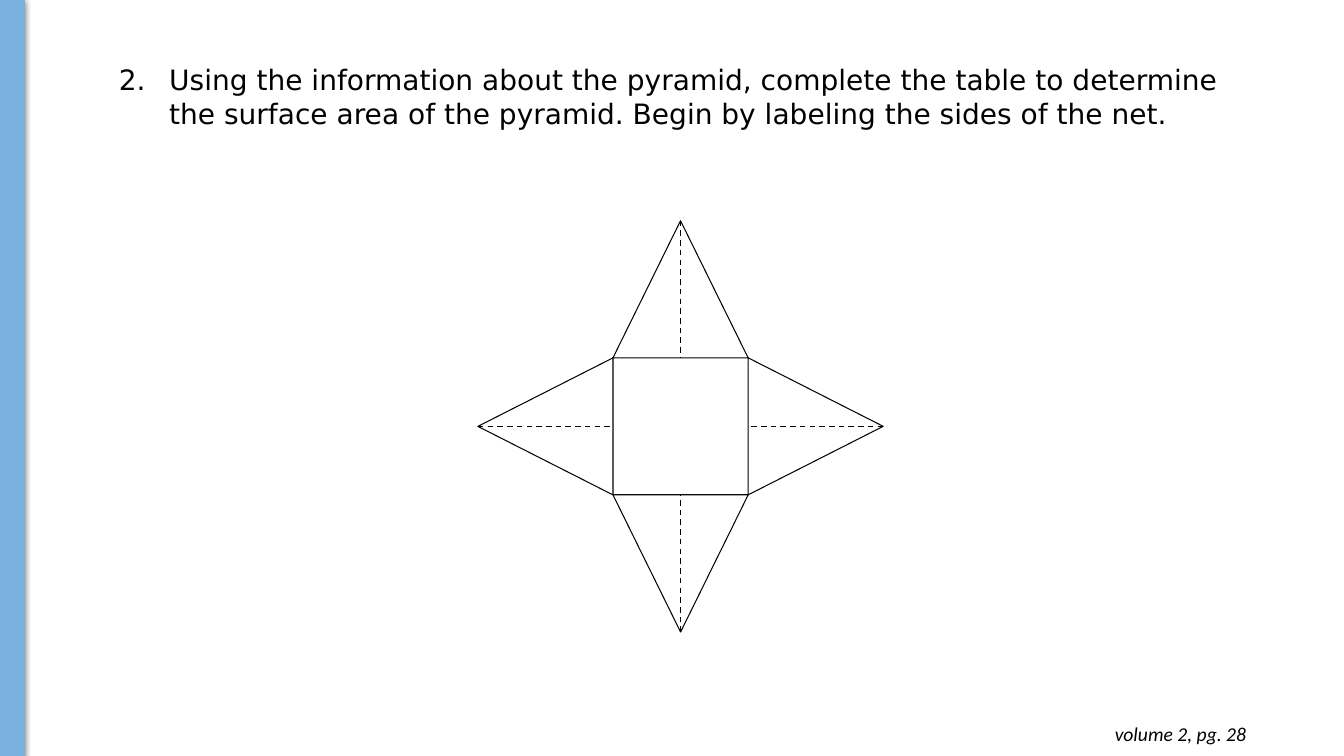
from lxml.etree import SubElement
from pptx import Presentation
from pptx.dml.color import RGBColor
from pptx.enum.dml import MSO_LINE
from pptx.enum.shapes import MSO_CONNECTOR, MSO_SHAPE
from pptx.enum.text import PP_ALIGN
from pptx.oxml.ns import qn
from pptx.util import Inches, Pt

COLORS = {"ink": "000000", "paper": "FFFFFF", "bar": "79B0DD"}


def color(name):
    """Return the named palette colour."""
    return RGBColor.from_string(COLORS[name])


def write(frame, text, font="Calibri", size=14, italic=False, align=PP_ALIGN.LEFT, number=None):
    """Write one formatted paragraph, numbered if a number is given."""
    paragraph = frame.paragraphs[0]
    paragraph.alignment = align
    if number:
        properties = paragraph._p.get_or_add_pPr()
        properties.set("marL", str(Inches(0.5)))
        properties.set("indent", str(Inches(-0.5)))
        bullet_color = SubElement(properties, qn("a:buClr"))
        SubElement(bullet_color, qn("a:srgbClr"), val=COLORS["ink"])
        SubElement(properties, qn("a:buAutoNum"), type="arabicPeriod", startAt=str(number))
    run = paragraph.add_run()
    run.text = text
    run.font.name = font
    run.font.size = Pt(size)
    run.font.italic = italic
    run.font.color.rgb = color("ink")


class PyramidSlide:
    """Holds the slide and the style of its elements."""

    def __init__(self, presentation):
        """Add a blank slide to the presentation."""
        self.slide = presentation.slides.add_slide(presentation.slide_layouts[6])

    def shape(self, shapes, kind, left, top, width, height, fill=None, line="ink", rotation=0):
        """Add an outlined preset shape."""
        shape = shapes.add_shape(kind, Inches(left), Inches(top), Inches(width), Inches(height))
        shape.shadow.inherit = False
        shape.rotation = rotation
        if fill:
            shape.fill.solid()
            shape.fill.fore_color.rgb = color(fill)
        else:
            shape.fill.background()
        shape.line.color.rgb = color(line)
        shape.line.width = Pt(0.75)
        return shape

    def side_bar(self):
        """Add the shaded bar on the left edge."""
        bar = self.shape(self.slide.shapes, MSO_SHAPE.RECTANGLE, 0, -0.01, 0.24, 7.51, "bar", "bar")
        effects = bar._element.spPr.find(qn("a:effectLst"))
        shadow = SubElement(effects, qn("a:outerShdw"), blurRad=str(Pt(4.5)), dist=str(Pt(1.5)),
                            dir="5400000", rotWithShape="0")
        shade = SubElement(shadow, qn("a:srgbClr"), val=COLORS["ink"])
        SubElement(shade, qn("a:alpha"), val="50000")

    def text(self, left, top, width, height, text, inset=0.05, **style):
        """Add a wrapping text box."""
        box = self.slide.shapes.add_textbox(Inches(left), Inches(top), Inches(width), Inches(height))
        frame = box.text_frame
        frame.word_wrap = True
        frame.margin_left = frame.margin_right = Inches(0.1)
        frame.margin_top = frame.margin_bottom = Inches(inset)
        write(frame, text, **style)

    def slant_height(self, shapes, apex_x, apex_y, base, side):
        """Add a dashed line from an apex to the middle of a side of the base."""
        line = shapes.add_connector(MSO_CONNECTOR.STRAIGHT, Inches(apex_x), Inches(apex_y),
                                    Inches(apex_x), Inches(apex_y))
        line.end_connect(base, side)
        line.line.color.rgb = color("ink")
        line.line.width = Pt(1)
        line.line.dash_style = MSO_LINE.DASH
        SubElement(line._element.spPr, qn("a:effectLst"))

    def net(self, center_x, center_y, width, height):
        """Add the square base with a triangle and slant height on each side."""
        shapes = self.slide.shapes.add_group_shape().shapes
        base = self.shape(shapes, MSO_SHAPE.RECTANGLE, center_x - width / 2, center_y - height / 2,
                          width, height)
        directions = [(0, -1, 0), (-1, 0, 270), (0, 1, 180), (1, 0, 90)]
        for across, down, rotation in directions:
            box_width, box_height = (height, width) if across else (width, height)
            x, y = center_x + across * width, center_y + down * height
            self.shape(shapes, MSO_SHAPE.ISOSCELES_TRIANGLE, x - box_width / 2, y - box_height / 2,
                       box_width, box_height, "paper", rotation=rotation)
        for side, (across, down, _) in enumerate(directions):
            self.slant_height(shapes, center_x + 1.5 * across * width,
                              center_y + 1.5 * down * height, base, side)


def main():
    """Build and save the slide."""
    presentation = Presentation()
    presentation.slide_width = Inches(13.33)
    presentation.slide_height = Inches(7.5)
    page = PyramidSlide(presentation)
    page.side_bar()
    page.text(1.08, 0.57, 11.33, 1.11,
              "Using the information about the pyramid, complete the table to determine the surface "
              "area of the pyramid. Begin by labeling the sides of the net.",
              font="DejaVu Sans", size=20, number=2)
    page.net(6.75, 4.23, 1.34, 1.36)
    page.text(9.58, 7.06, 2.88, 0.44, "volume 2, pg. 28", inset=0.1, italic=True,
              align=PP_ALIGN.RIGHT)
    presentation.save("out.pptx")


if __name__ == "__main__":
    main()
